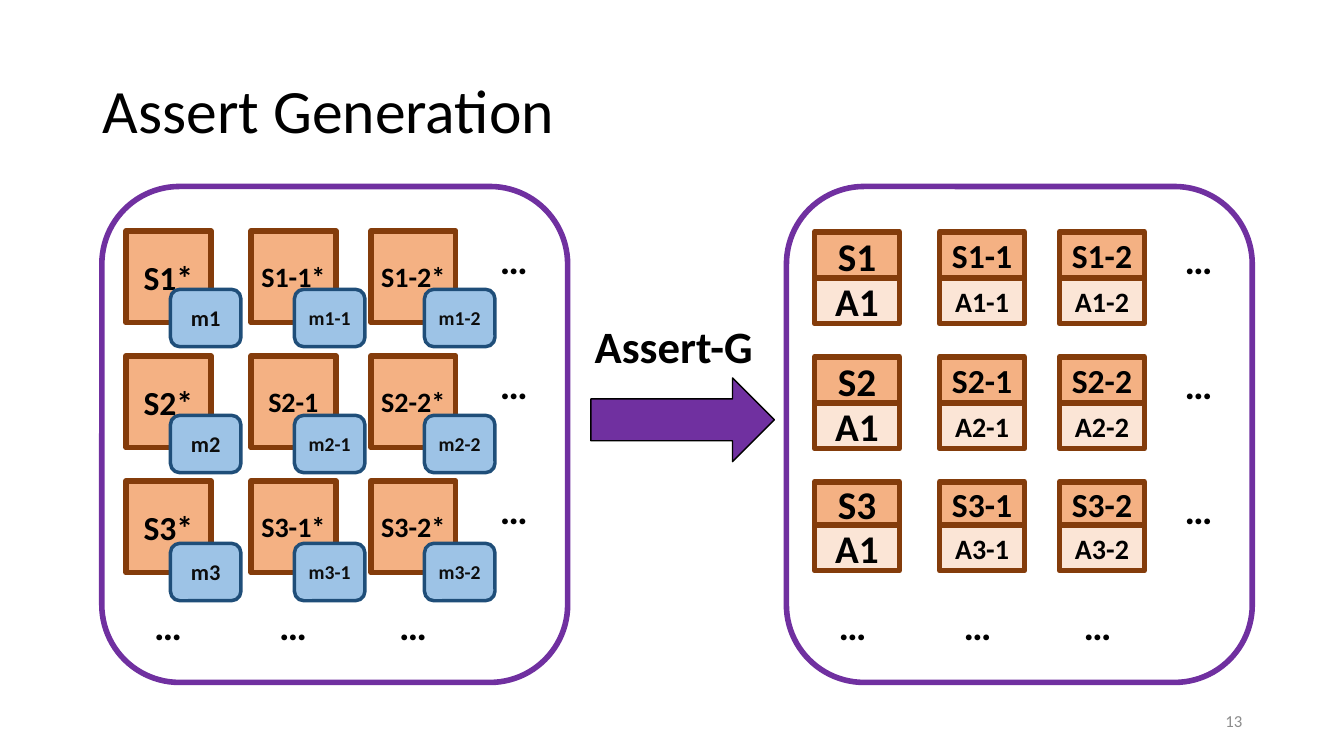
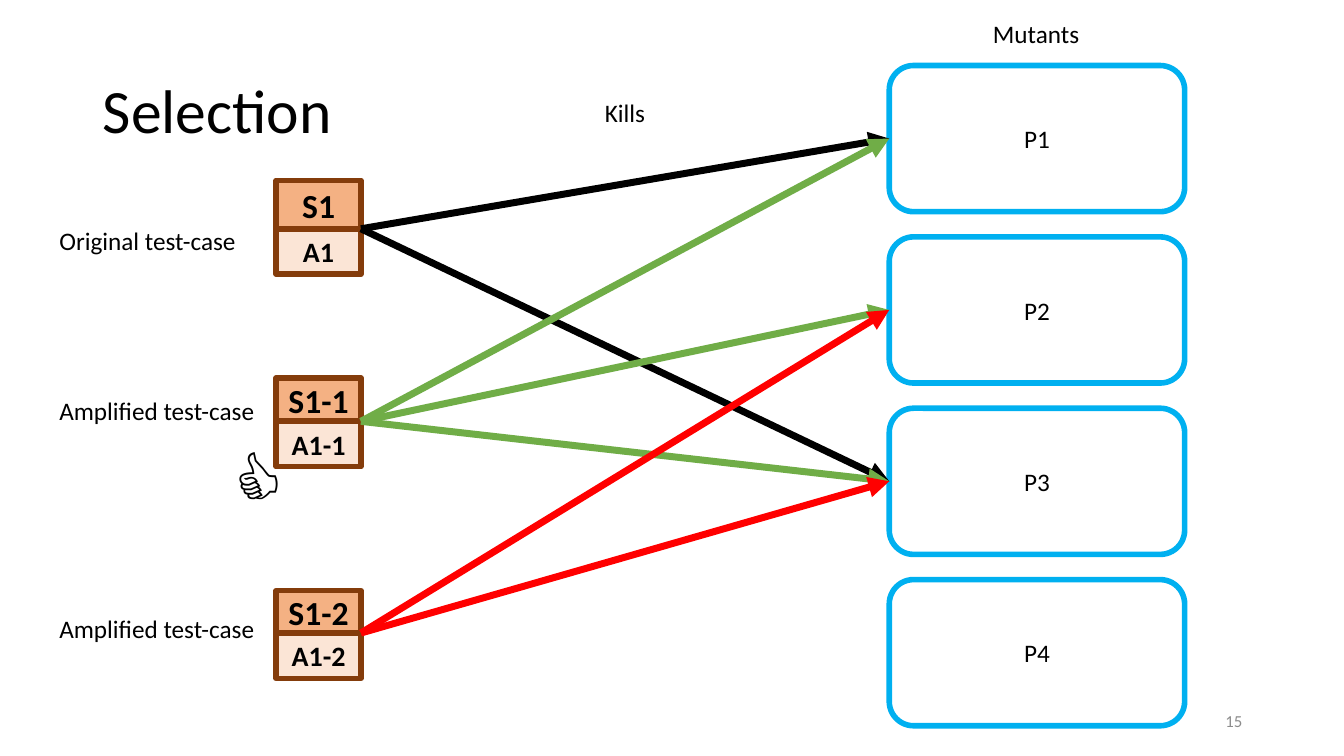
"""Build two slides on assert generation and test selection."""
from lxml import etree
from pptx import Presentation
from pptx.dml.color import RGBColor
from pptx.enum.shapes import MSO_CONNECTOR, MSO_SHAPE
from pptx.enum.text import MSO_ANCHOR, MSO_AUTO_SIZE, PP_ALIGN
from pptx.oxml.ns import qn
from pptx.util import Inches, Pt

BLACK = RGBColor(0x00, 0x00, 0x00)
INK = RGBColor(0x0D, 0x0D, 0x0D)
GREY = RGBColor(0x8C, 0x8C, 0x8C)
PURPLE = RGBColor(0x70, 0x30, 0xA0)
ORANGE = RGBColor(0xF4, 0xB1, 0x83)
PEACH = RGBColor(0xFB, 0xE5, 0xD6)
BROWN = RGBColor(0x84, 0x3C, 0x0B)
BLUE = RGBColor(0x9D, 0xC3, 0xE6)
NAVY = RGBColor(0x1F, 0x4E, 0x79)
CYAN = RGBColor(0x00, 0xB0, 0xF0)
GREEN = RGBColor(0x70, 0xAD, 0x47)
RED = RGBColor(0xFF, 0x00, 0x00)

RECT = MSO_SHAPE.FLOWCHART_PROCESS
ROUND = MSO_SHAPE.ROUNDED_RECTANGLE
ARROW = MSO_SHAPE.RIGHT_ARROW
STRAIGHT = MSO_CONNECTOR.STRAIGHT
LEFT, CENTER, RIGHT = PP_ALIGN.LEFT, PP_ALIGN.CENTER, PP_ALIGN.RIGHT
TOP, MIDDLE = MSO_ANCHOR.TOP, MSO_ANCHOR.MIDDLE
GROW = MSO_AUTO_SIZE.SHAPE_TO_FIT_TEXT
FONT = "Calibri"


def write(shape, text, size=18, bold=False, color=BLACK, align=LEFT,
          anchor=TOP, wrap=False, fit=None, spacing=None):
    """Put formatted text into a shape."""
    frame = shape.text_frame
    frame.word_wrap = wrap
    frame.vertical_anchor = anchor
    if fit is not None:
        frame.auto_size = fit
    para = frame.paragraphs[0]
    para.alignment = align
    para.line_spacing = spacing
    run = para.add_run()
    run.text = text
    font = run.font
    font.name, font.size, font.bold = FONT, Pt(size), bold
    font.color.rgb = color


def draw(slide, kind, at, line, width=4, fill=None, text="", **style):
    """Add a preset shape with an outline, a fill and centred text."""
    shape = slide.shapes.add_shape(kind, *map(Inches, at))
    shape.shadow.inherit = False
    shape.line.color.rgb = line
    shape.line.width = Pt(width)
    if fill is None:
        shape.fill.background()
    else:
        shape.fill.solid()
        shape.fill.fore_color.rgb = fill
    if text:
        write(shape, text, align=CENTER, anchor=MIDDLE, **style)
    return shape


deck = Presentation()
deck.slide_width, deck.slide_height = Inches(13.33), Inches(7.5)

slides = []
for name, page in (("Assert Generation", "13"), ("Selection", "15")):
    slide = deck.slides.add_slide(deck.slide_layouts[5])
    title = slide.shapes.title
    title.left, title.top = Inches(0.92), Inches(0.4)
    title.width, title.height = Inches(11.5), Inches(1.45)
    write(title, name, size=44, anchor=MIDDLE, wrap=True, spacing=0.9)
    box = slide.shapes.add_textbox(
        Inches(9.42), Inches(6.95), Inches(3), Inches(0.4))
    write(box, page, size=12, color=GREY, align=RIGHT, anchor=MIDDLE,
          wrap=True)
    slides.append(slide)
first, second = slides

SHIFT = 6.83
COLS = (1.25, 2.49, 3.68)
ROWS = (2.29, 3.53, 4.77)
SPLITS = (2.76, 4, 5.21)
MUT_COLS = (1.69, 2.92, 4.21)
MUT_ROWS = (2.87, 4.12, 5.39)

for left in (1.01, 7.8):
    draw(first, ROUND, (left, 1.85, 4.62, 4.92), PURPLE)
draw(first, ARROW, (5.86, 3.75, 1.82, 0.83), BLACK, width=1, fill=PURPLE)
label = first.shapes.add_textbox(
    Inches(5.8), Inches(3.11), Inches(1.78), Inches(0.64))
write(label, "Assert-G", size=32, bold=True, fit=GROW)

spots = [(x + 0.18, 5.92) for x in COLS] + [(4.86, y) for y in ROWS]
for shift in (0, SHIFT - 0.04):
    for x, y in spots:
        dots = first.shapes.add_textbox(
            Inches(x + shift), Inches(y), Inches(0.48), Inches(0.57))
        write(dots, "…", size=28, bold=True, fit=GROW)

for row, y in enumerate(ROWS):
    split = SPLITS[row]
    for col, x in enumerate(COLS):
        tag = f"{row + 1}-{col}" if col else f"{row + 1}"
        star = "" if tag == "2-1" else "*"
        draw(first, RECT, (x, y, 0.84, 0.91), BROWN, fill=ORANGE,
             text=f"S{tag}{star}", size=20 if col else 24, bold=True)
        draw(first, ROUND, (MUT_COLS[col], MUT_ROWS[row], 0.7, 0.57), NAVY,
             width=2.5, fill=BLUE, text=f"m{tag}", size=14 if col else 16,
             bold=True, color=INK)
        draw(first, RECT, (x + SHIFT, y + 0.01, 0.84, split - y), BROWN,
             fill=ORANGE, text=f"S{tag}", size=24 if col else 28, bold=True)
        draw(first, RECT, (x + SHIFT, split, 0.84, 0.45), BROWN, fill=PEACH,
             text=f"A{tag}" if col else "A1", size=20 if col else 28,
             bold=True)

mutants = [
    draw(second, ROUND, (8.82, 0.65 + 1.7 * i, 2.93, 1.45), CYAN,
         text=f"P{i + 1}")
    for i in range(4)
]

cases = (
    ("1", 1.79, 2.27, BLACK, (0, 2)),
    ("1-1", 3.75, 4.18, GREEN, (0, 1, 2)),
    ("1-2", 5.86, 6.28, RED, (1, 2)),
)
for tag, top, split, color, kills in cases:
    draw(second, RECT, (2.74, top, 0.84, split - top), BROWN, fill=ORANGE,
         text=f"S{tag}", size=24, bold=True)
    draw(second, RECT, (2.74, split, 0.84, 0.45), BROWN, fill=PEACH,
         text=f"A{tag}", size=20, bold=True)
    for kill in kills:
        link = second.shapes.add_connector(
            STRAIGHT, Inches(3.58), Inches(split), Inches(8.82), Inches(split))
        link.end_connect(mutants[kill], 1)
        link.line.color.rgb = color
        link.line.width = Pt(5)
        props = link.element.spPr
        etree.SubElement(props.find(qn("a:ln")), qn("a:tailEnd"),
                         type="triangle")
        etree.SubElement(props, qn("a:effectLst"))

notes = (
    ("Original test-case", 0.49, 2.19, 1.99, 0.4, 18),
    ("Amplified test-case", 0.49, 3.87, 2.16, 0.4, 18),
    ("Amplified test-case", 0.49, 6.04, 2.16, 0.4, 18),
    ("Kills", 5.9, 0.92, 0.61, 0.4, 18),
    ("Mutants", 9.75, 0.13, 1.07, 0.4, 18),
    ("👍", 2.22, 4.25, 0.96, 1.01, 54),
)
for text, *at, size in notes:
    box = second.shapes.add_textbox(*map(Inches, at))
    write(box, text, size=size, fit=GROW)

deck.save("out.pptx")
